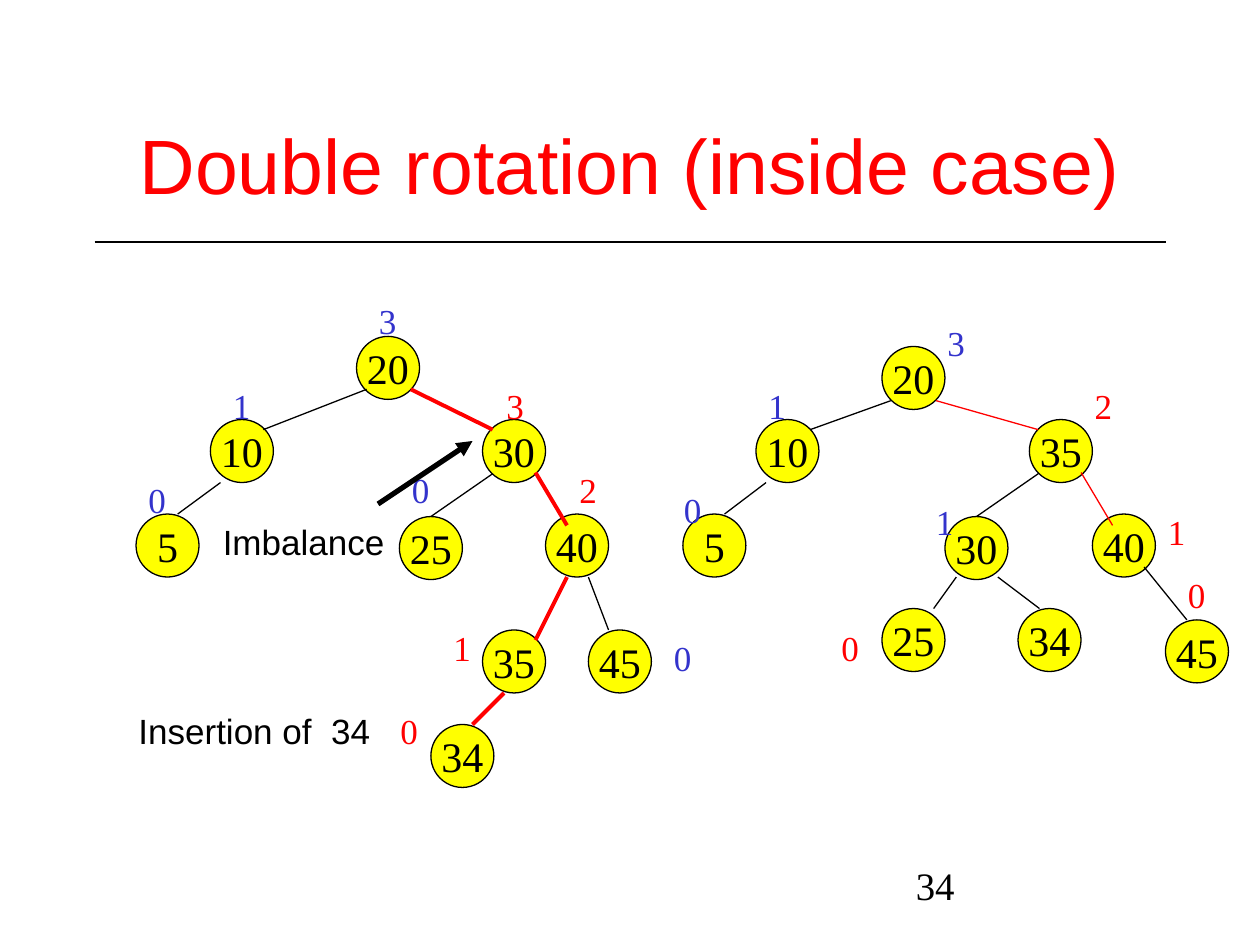
from dataclasses import dataclass

from lxml import etree
from pptx import Presentation
from pptx.dml.color import RGBColor
from pptx.enum import shapes, text
from pptx.oxml.ns import qn
from pptx.util import Inches, Pt


@dataclass(frozen=True)
class Theme:
    black: str = "000000"
    red: str = "FF0000"
    blue: str = "3333CC"
    yellow: str = "FFFF00"
    sans: str = "Arial"
    serif: str = "Times New Roman"
    title_size: float = 44
    node_size: float = 24
    number_size: float = 22.2
    label_size: float = 20
    thin: float = 0.75
    path_width: float = 2.25
    arrow_width: float = 3


THEME = Theme()
NODE = 0.5
LABEL_W, LABEL_H = 0.34, 0.44

# Nodes: (key, left, top)
NODES_BEFORE = [
    (20, 2.83, 2.67), (10, 1.67, 3.33), (30, 3.83, 3.33), (5, 1.08, 4.08),
    (25, 3.17, 4.1), (40, 4.33, 4.08), (35, 3.83, 5), (45, 4.67, 5),
    (34, 3.42, 5.75),
]
NODES_AFTER = [
    (20, 7, 2.75), (10, 6, 3.33), (35, 8.17, 3.33), (5, 5.42, 4.08),
    (30, 7.5, 4.1), (40, 8.67, 4.08), (25, 7, 4.83), (34, 8.08, 4.83),
    (45, 9.25, 4.92),
]

# Edges: (x1, y1, x2, y2)
PLAIN_EDGES = [
    (2.91, 3.09, 2.09, 3.41), (3.91, 3.76, 3.42, 4.1),
    (1.75, 3.83, 1.41, 4.08), (4.67, 4.58, 4.83, 5),
    (7.07, 3.18, 6.43, 3.41), (8.24, 3.76, 7.75, 4.1),
    (6.08, 3.83, 5.75, 4.08), (9.08, 4.5, 9.42, 4.92),
    (7.59, 4.58, 7.41, 4.83), (7.92, 4.58, 8.25, 4.83),
]
INSERTION_PATH = [
    (3.26, 3.09, 3.91, 3.41), (4.25, 3.75, 4.5, 4.17),
    (4.5, 4.58, 4.25, 5.08), (4, 5.5, 3.75, 5.75),
]
ROTATED_PATH = [(7.43, 3.18, 8.24, 3.41), (8.58, 3.75, 8.83, 4.17)]

# Heights: (value, left, top)
UNCHANGED_HEIGHTS = [
    (3, 2.91, 2.33), (1, 1.75, 3), (0, 3.17, 3.67), (0, 1.08, 3.75),
    (0, 5.25, 5), (3, 7.42, 2.5), (1, 6, 3), (0, 5.33, 3.83), (1, 7.33, 3.92),
]
CHANGED_HEIGHTS = [
    (3, 3.92, 3), (2, 4.5, 3.67), (1, 3.5, 4.92), (0, 3.08, 5.58),
    (2, 8.59, 3), (1, 9.17, 4), (0, 9.33, 4.5), (0, 6.58, 4.92),
]


class TreeSlide:
    def __init__(self, prs, theme):
        self.theme = theme
        self.slide = prs.slides.add_slide(prs.slide_layouts[6])

    def set_text(self, sp, words, size, font, color, align, anchor, wrap):
        tf = sp.text_frame
        tf.text = str(words)
        tf.word_wrap = wrap
        tf.vertical_anchor = anchor
        p = tf.paragraphs[0]
        p.alignment = align
        for r in p.runs:
            r.font.size = Pt(size)
            r.font.name = font
            r.font.color.rgb = RGBColor.from_string(color)
        return p

    def text(self, words, left, top, width, height, size, font, color,
             align=text.PP_ALIGN.LEFT, anchor=text.MSO_ANCHOR.TOP, wrap=True):
        sp = self.slide.shapes.add_textbox(
            Inches(left), Inches(top), Inches(width), Inches(height))
        return self.set_text(sp, words, size, font, color, align, anchor, wrap)

    def title(self, words):
        t = self.theme
        self.text(words, 0.75, 0.67, 8.5, 1.25, t.title_size, t.sans, t.red,
                  text.PP_ALIGN.CENTER, text.MSO_ANCHOR.MIDDLE)

    def page_number(self, number):
        t = self.theme
        p = self.text(number, 7.17, 6.83, 2.08, 0.5, t.number_size, t.serif, t.black)
        p.line_spacing = 0.9

    def caption(self, words, left, top, width):
        t = self.theme
        self.text(words, left, top, width, LABEL_H, t.label_size, t.sans, t.black)

    def height_label(self, value, left, top, color):
        t = self.theme
        self.text(value, left, top, LABEL_W, LABEL_H, t.label_size, t.serif, color,
                  wrap=False)

    def node(self, key, left, top):
        t = self.theme
        sp = self.slide.shapes.add_shape(
            shapes.MSO_SHAPE.OVAL, Inches(left), Inches(top), Inches(NODE), Inches(NODE))
        sp.shadow.inherit = False
        sp.fill.solid()
        sp.fill.fore_color.rgb = RGBColor.from_string(t.yellow)
        sp.line.color.rgb = RGBColor.from_string(t.black)
        sp.line.width = Pt(t.thin)
        self.set_text(sp, key, t.node_size, t.serif, t.black,
                      text.PP_ALIGN.CENTER, text.MSO_ANCHOR.MIDDLE, False)

    def line(self, x1, y1, x2, y2, color, width, arrow=False):
        cxn = self.slide.shapes.add_connector(
            shapes.MSO_CONNECTOR.STRAIGHT, Inches(x1), Inches(y1), Inches(x2), Inches(y2))
        cxn.line.color.rgb = RGBColor.from_string(color)
        cxn.line.width = Pt(width)
        props = cxn.element.spPr
        if arrow:
            etree.SubElement(props.find(qn("a:ln")), qn("a:tailEnd"), type="triangle")
        etree.SubElement(props, qn("a:effectLst"))


def main():
    prs = Presentation()
    prs.slide_width, prs.slide_height = Inches(10), Inches(7.5)
    t = THEME
    s = TreeSlide(prs, t)

    s.line(0.75, 1.92, 9.25, 1.92, t.black, t.thin)
    s.page_number(34)
    s.title("Double rotation (inside case)")

    for node in NODES_BEFORE + NODES_AFTER:
        s.node(*node)

    for edges, color, width in (
        (PLAIN_EDGES, t.black, t.thin),
        (INSERTION_PATH, t.red, t.path_width),
        (ROTATED_PATH, t.red, t.thin),
    ):
        for edge in edges:
            s.line(*edge, color, width)

    for heights, color in ((UNCHANGED_HEIGHTS, t.blue), (CHANGED_HEIGHTS, t.red)):
        for height in heights:
            s.height_label(*height, color)

    s.caption("Imbalance", 1.67, 4.08, 1.5)
    s.line(3, 4, 3.75, 3.5, t.black, t.arrow_width, arrow=True)
    s.caption("Insertion of  34", 1, 5.58, 2.08)

    prs.save("out.pptx")


if __name__ == "__main__":
    main()
